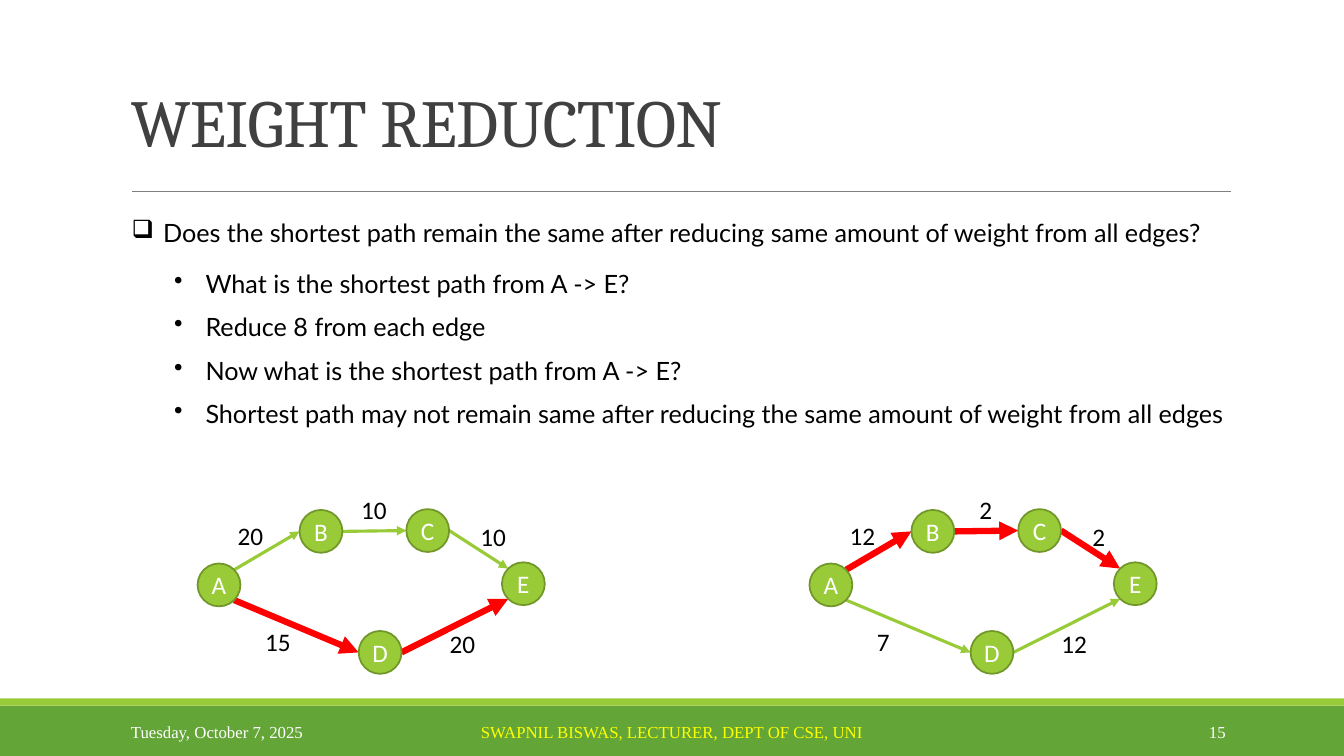
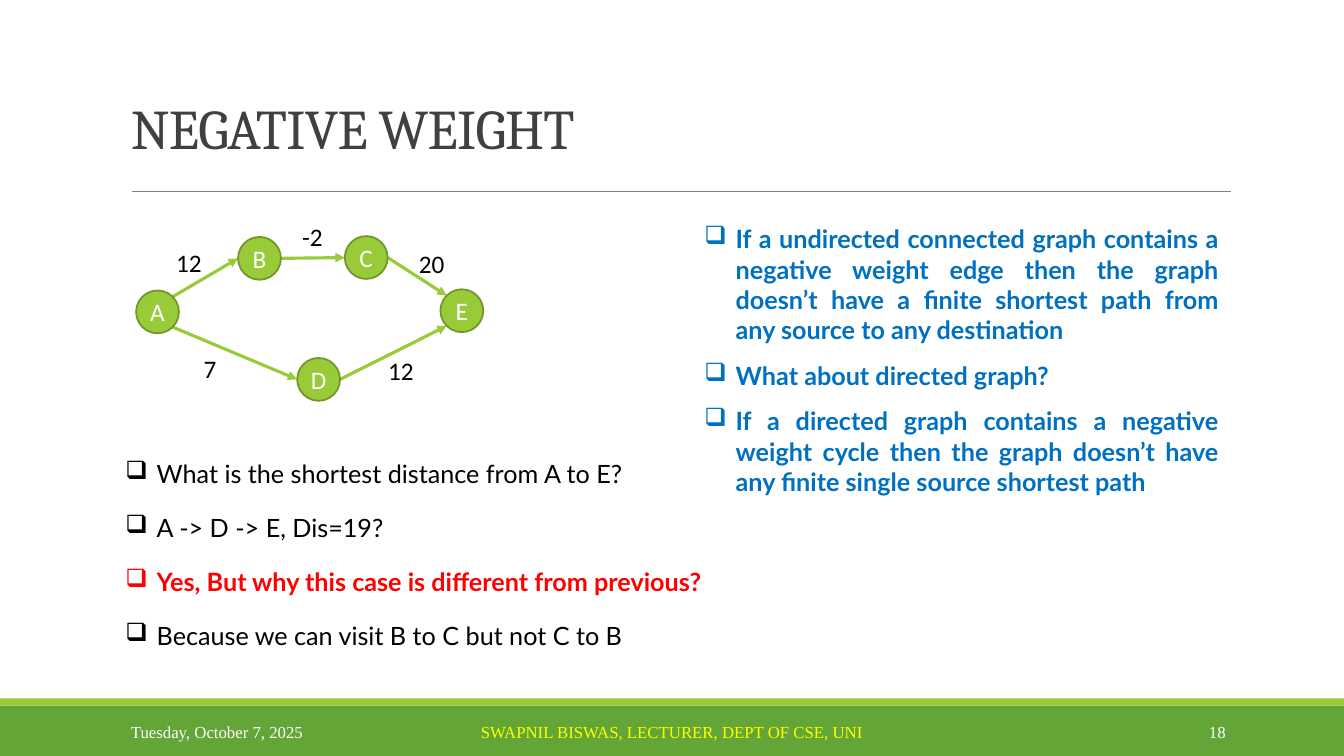
"""Builds two slides on how edge weights change shortest paths."""
from dataclasses import dataclass
from math import sqrt

from lxml.etree import SubElement
from pptx import Presentation
from pptx.dml.color import RGBColor as RGB
from pptx.enum.shapes import MSO_CONNECTOR as CONN, MSO_SHAPE as SHAPE
from pptx.enum.text import MSO_ANCHOR as ANCHOR, PP_ALIGN as ALIGN
from pptx.oxml.ns import qn
from pptx.util import Cm, Pt


@dataclass(frozen=True)
class Theme:
    band: str = "63A537"
    accent: str = "99CB38"
    outline: str = "719629"
    rule: str = "808080"
    heading: str = "404040"
    ink: str = "000000"
    paper: str = "FFFFFF"
    author: str = "FFFF00"
    alert: str = "FF0000"
    note: str = "0070C0"
    head_font: str = "Cambria"
    body_font: str = "Lato"
    graph_font: str = "Calibri"
    foot_font: str = "Times New Roman"
    body_size: int = 18
    foot_size: int = 12
    edge: float = 2.25
    path_edge: float = 4.5


T = Theme()


def box(s, x, y, w, h, anchor=ANCHOR.TOP):
    tf = s.shapes.add_textbox(Cm(x), Cm(y), Cm(w), Cm(h)).text_frame
    tf.word_wrap = True
    tf.vertical_anchor = anchor
    return tf


def text(tf, content, font=T.body_font, size=T.body_size, color=T.ink, bold=False,
         align=ALIGN.LEFT, before=0, leading=None, tracking=None, bullet=None, indent=0.79):
    p = tf.paragraphs[0]
    if p.runs:
        p = tf.add_paragraph()
        p.space_before = Pt(before)
    p.alignment = align
    if leading:
        p.line_spacing = leading
    if bullet:
        pPr = p._p.get_or_add_pPr()
        pPr.set("marL", str(Cm(indent)))
        pPr.set("indent", str(-Cm(0.79)))
        SubElement(pPr, qn("a:buChar")).set("char", bullet)
    r = p.add_run()
    r.text = content
    f = r.font
    f.name, f.size, f.bold = font, Pt(size), bold
    f.color.rgb = RGB.from_string(color)
    if tracking:
        r._r.get_or_add_rPr().set("spc", str(tracking))


NODE = 1.08
DIAG = NODE / 2 / sqrt(2)
NODES = {"A": (0, 0), "B": (2.57, -1.35), "C": (5.26, -1.37), "E": (7.67, -0.03), "D": (4.06, 1.7)}
SITES = {
    "left": (-NODE / 2, 0),
    "right": (NODE / 2, 0),
    "top left": (-DIAG, -DIAG),
    "top right": (DIAG, -DIAG),
    "bottom left": (-DIAG, DIAG),
    "bottom right": (DIAG, DIAG),
}
EDGES = [
    ("AB", "top right", "left", (0.76, -1.22), ALIGN.LEFT),
    ("BC", "right", "left", (3.86, -1.88), ALIGN.CENTER),
    ("CE", "right", "top left", (6.88, -1.19), ALIGN.LEFT),
    ("AD", "bottom right", "left", (1.45, 1.45), ALIGN.LEFT),
    ("DE", "right", "bottom left", (6.1, 1.52), ALIGN.LEFT),
]

SQUARE = dict(bullet="❑", before=17)
DOT = dict(bullet="•", before=9.5, indent=1.86)
NOTE = dict(bullet="❑", before=11, color=T.note, bold=True, align=ALIGN.JUSTIFY)

SLIDES = [
    dict(
        title="WEIGHT REDUCTION", title_size=48, number="15",
        graphs=[
            ((4.98, 14.2), ["20", "10", "10", "15", "20"], ["AD", "DE"]),
            ((20.4, 14.2), ["12", "2", "2", "7", "12"], ["AB", "BC", "CE"]),
        ],
        lists=[
            ((3.07, 5.36, 29, 5.67), [
                ("Does the shortest path remain the same after reducing same amount of weight from all edges?", SQUARE),
                ("What is the shortest path from A -> E?", DOT | dict(before=14.5)),
                ("Reduce 8 from each edge", DOT),
                ("Now what is the shortest path from A -> E?", DOT),
                ("Shortest path may not remain same after reducing the same amount of weight from all edges", DOT),
            ]),
        ],
    ),
    dict(
        title="NEGATIVE WEIGHT", title_size=40, number="18",
        graphs=[((3.43, 7.32), ["12", "-2", "20", "7", "12"], [])],
        lists=[
            ((2.91, 11.43, 16.5, 5.16), [
                ("What is the shortest distance from A to E?", SQUARE),
                ("A -> D -> E, Dis=19?", SQUARE),
                ("Yes, But why this case is different from previous?", SQUARE | dict(color=T.alert, bold=True)),
                ("Because we can visit B to C but not C to B", SQUARE),
            ]),
            ((17.5, 5.51, 13.46, 7.3), [
                ("If a undirected connected graph contains a negative weight edge then the graph "
                 "doesn’t have a finite shortest path from any source to any destination", NOTE),
                ("What about directed graph?", NOTE),
                ("If a directed graph contains a negative weight cycle then the graph doesn’t "
                 "have any finite single source shortest path", NOTE),
            ]),
        ],
    ),
]

prs = Presentation()
prs.slide_width, prs.slide_height = Cm(33.87), Cm(19.05)

for page in SLIDES:
    s = prs.slides.add_slide(prs.slide_layouts[6])

    for top, height, color in [(17.78, 1.27, T.band), (17.6, 0.18, T.accent)]:
        sp = s.shapes.add_shape(SHAPE.RECTANGLE, 0, Cm(top), prs.slide_width, Cm(height))
        sp.shadow.inherit = False
        sp.fill.solid()
        sp.fill.fore_color.rgb = RGB.from_string(color)
        sp.line.fill.background()

    text(box(s, 3.05, 0.15, 27.94, 4.04, ANCHOR.BOTTOM), page["title"], font=T.head_font,
         size=page["title_size"], color=T.heading, leading=0.85, tracking=-50)

    for x, w, content, color, align in [
        (3.05, 6.86, "Tuesday, October 7, 2025", T.paper, ALIGN.LEFT),
        (10.24, 13.39, "SWAPNIL BISWAS, LECTURER, DEPT OF CSE, UNI", T.author, ALIGN.CENTER),
        (27.51, 3.63, page["number"], T.paper, ALIGN.RIGHT),
    ]:
        text(box(s, x, 17.93, w, 1.02, ANCHOR.MIDDLE), content, font=T.foot_font,
             size=T.foot_size, color=color, align=align)

    lines = [(3.33, 4.83, 31.01, 4.83, T.rule, 0.5, False)]
    for (left, top), weights, route in page["graphs"]:
        for (start, end), start_site, end_site, _, _ in EDGES:
            x1, y1, x2, y2 = [
                origin + NODES[name][axis] + NODE / 2 + SITES[site][axis]
                for name, site in [(start, start_site), (end, end_site)]
                for axis, origin in enumerate((left, top))
            ]
            on_route = start + end in route
            lines.append((x1, y1, x2, y2, T.alert if on_route else T.accent,
                          T.path_edge if on_route else T.edge, True))

    for x1, y1, x2, y2, color, width, arrow in lines:
        line = s.shapes.add_connector(CONN.STRAIGHT, Cm(x1), Cm(y1), Cm(x2), Cm(y2))
        line.line.color.rgb = RGB.from_string(color)
        line.line.width = Pt(width)
        spPr = line._element.spPr
        if arrow:
            SubElement(spPr.find(qn("a:ln")), qn("a:tailEnd")).set("type", "triangle")
        SubElement(spPr, qn("a:effectLst"))

    for (left, top), weights, route in page["graphs"]:
        for name, (dx, dy) in NODES.items():
            sp = s.shapes.add_shape(SHAPE.OVAL, Cm(left + dx), Cm(top + dy), Cm(NODE), Cm(NODE))
            sp.shadow.inherit = False
            sp.fill.solid()
            sp.fill.fore_color.rgb = RGB.from_string(T.accent)
            sp.line.color.rgb = RGB.from_string(T.outline)
            sp.line.width = Pt(1.25)
            tf = sp.text_frame
            tf.margin_left = tf.margin_right = tf.margin_top = tf.margin_bottom = 0
            tf.vertical_anchor = ANCHOR.MIDDLE
            text(tf, name, font=T.graph_font, color=T.paper, align=ALIGN.CENTER)
        for weight, (_, _, _, (dx, dy), align) in zip(weights, EDGES):
            text(box(s, left + dx, top + dy, 1.17, 1.02), weight, font=T.graph_font, align=align)

    for place, items in page["lists"]:
        tf = box(s, *place)
        for content, fmt in items:
            text(tf, content, **fmt)

prs.save("out.pptx")
